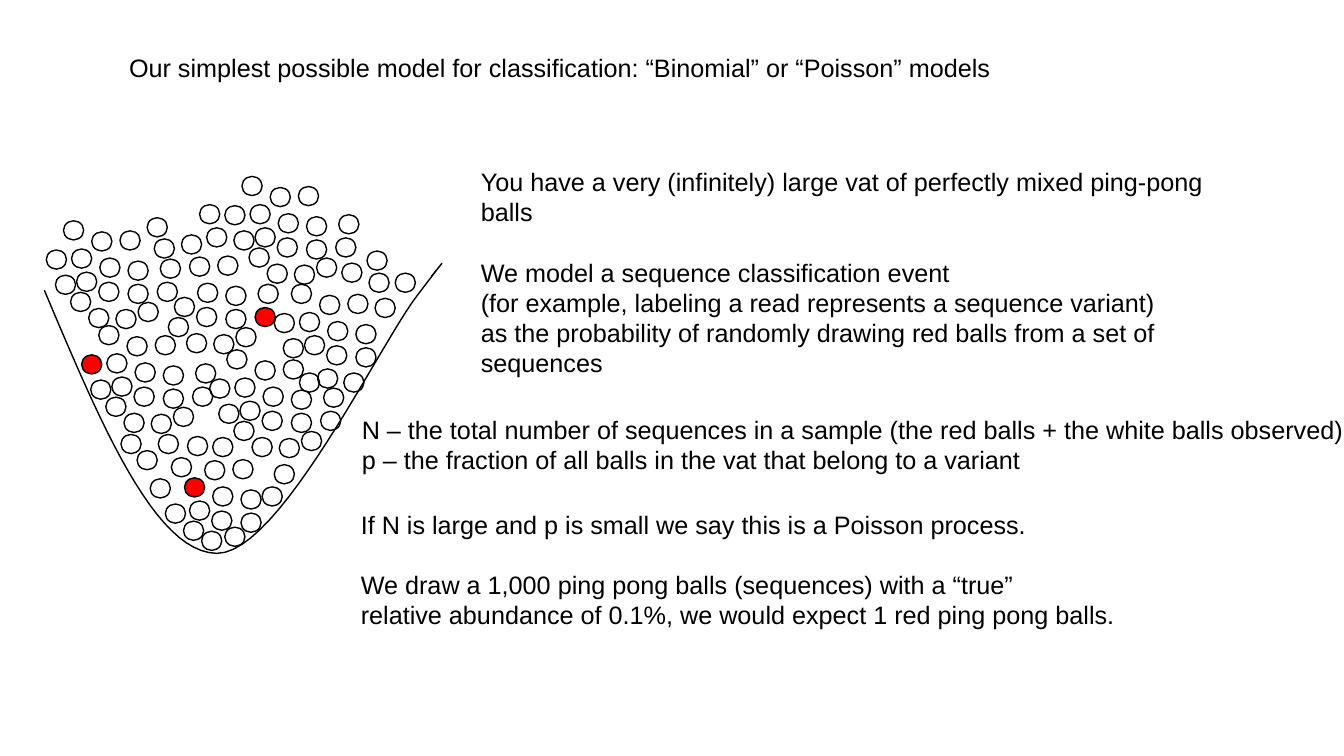
from pptx import Presentation
from pptx.dml.color import RGBColor
from pptx.enum.shapes import MSO_SHAPE
from pptx.enum.text import MSO_ANCHOR, MSO_AUTO_SIZE, PP_ALIGN
from pptx.util import Inches, Pt

FONT = "Arial"
BLACK, RED = "000000", "FF0000"
LINE_PITCH = 21.6

# One handful of balls; the vat is filled by shifting it around.
CLUSTER = [
    (0.55, 2.73), (1.56, 2.80), (1.27, 2.82), (0.98, 2.80), (0.70, 2.90), (0.88, 3.06),
    (1.15, 3.07), (0.76, 2.70), (0.99, 2.56), (1.27, 2.59), (0.71, 2.47), (1.59, 2.57),
    (0.46, 2.48), (0.91, 2.30), (0.63, 2.19), (1.37, 3.00), (1.19, 2.29),
]
# Shift right, shift down, balls left out, the red ball
CLUSTER_SHIFTS = [
    (0, 0, (), None),
    (1.62, 1.28, (), None),
    (0.35, 1.04, (), 12),
    (0.97, 0.25, (0, 10, 12, 14), 1),
    (2.26, 0.63, (1, 4, 5, 11, 15), None),
    (1.77, -0.44, (), None),
    (1.12, 2.27, (0, 1, 5, 6, 11, 12, 14, 15), 10),
]
LOOSE_BALLS = [
    (2.97, 3.70), (3.15, 3.66), (1.64, 5.00), (2.00, 5.27), (2.23, 5.23), (2.72, 4.61),
    (1.49, 4.75), (1.70, 4.54), (2.60, 4.83), (1.36, 4.47), (2.11, 4.34), (1.86, 4.33),
    (1.57, 4.31), (1.20, 4.31), (1.53, 2.37), (2.05, 2.26), (3.39, 2.61), (3.72, 2.96),
    (3.66, 2.71), (3.92, 2.71), (3.64, 2.49), (1.80, 2.33), (1.46, 2.16), (1.98, 2.03),
]
VAT_START = (0.44, 2.88)
VAT_CURVES = [
    ((0.99, 4.18), (1.53, 5.48), (2.15, 5.49)),
    ((2.77, 5.50), (3.78, 3.39), (4.14, 2.93)),
    ((4.49, 2.47), (4.39, 2.61), (4.28, 2.74)),
]


def color(hex_value):
    return RGBColor.from_string(hex_value)


def write_text(shape, paragraphs, wrap=True, gap_before=()):
    """Fill a shape with paragraphs; those in gap_before follow a one-line gap."""
    tf = shape.text_frame
    tf.word_wrap = wrap
    tf.auto_size = MSO_AUTO_SIZE.NONE
    tf.vertical_anchor = MSO_ANCHOR.TOP
    tf.text = "\n".join(paragraphs)
    for i, p in enumerate(tf.paragraphs):
        p.alignment = PP_ALIGN.LEFT
        p.line_spacing = Pt(LINE_PITCH)
        p.space_before = Pt(LINE_PITCH if i in gap_before else 0)
        for r in p.runs:
            r.font.name = FONT
            r.font.size = Pt(18)
            r.font.color.rgb = color(BLACK)


def place(shape, left, top, width, height):
    shape.left, shape.top = Inches(left), Inches(top)
    shape.width, shape.height = Inches(width), Inches(height)


def add_text(s, box, paragraphs, **options):
    write_text(s.shapes.add_textbox(*map(Inches, box)), paragraphs, **options)


def outline(shape):
    shape.shadow.inherit = False
    shape.line.color.rgb = color(BLACK)
    shape.line.width = Pt(1)


def add_ball(group, left, top, red=False):
    ball = group.shapes.add_shape(
        MSO_SHAPE.FLOWCHART_CONNECTOR, Inches(left), Inches(top), Inches(0.2), Inches(0.19))
    outline(ball)
    if red:
        ball.fill.solid()
        ball.fill.fore_color.rgb = color(RED)
    else:
        ball.fill.background()


def bezier_points(start, c1, c2, end, steps=24):
    for i in range(1, steps + 1):
        t = i / steps
        u = 1 - t
        yield tuple(
            Inches(u**3 * a + 3 * u * u * t * b + 3 * u * t * t * c + t**3 * d)
            for a, b, c, d in zip(start, c1, c2, end))


def add_vat(group):
    points, start = [], VAT_START
    for curve in VAT_CURVES:
        points.extend(bezier_points(start, *curve))
        start = curve[-1]
    builder = group.shapes.build_freeform(*map(Inches, VAT_START))
    builder.add_line_segments(points, close=False)
    vat = builder.convert_to_shape()
    vat.fill.background()
    outline(vat)


def add_filled_vat(s):
    group = s.shapes.add_group_shape()
    add_vat(group)
    for right, down, left_out, red in CLUSTER_SHIFTS:
        for i, (x, y) in enumerate(CLUSTER):
            if i not in left_out:
                add_ball(group, x + right, y + down, red=i == red)
    for x, y in LOOSE_BALLS:
        add_ball(group, x, y)


def main():
    prs = Presentation()
    prs.slide_width, prs.slide_height = Inches(13.33), Inches(7.5)
    s = prs.slides.add_slide(prs.slide_layouts[5])

    title = s.shapes.title
    place(title, 1.18, 0.47, 9.19, 0.4)
    write_text(title, [
        "Our simplest possible model for classification: “Binomial” or “Poisson” models"])

    add_filled_vat(s)

    add_text(s, (4.67, 1.6, 7.92, 2.22), [
        "You have a very (infinitely) large vat of perfectly mixed ping-pong balls",
        "We model a sequence classification event",
        "(for example, labeling a read represents a sequence variant)",
        "as the probability of randomly drawing red balls from a set of sequences",
    ], gap_before=(1,))
    add_text(s, (3.49, 4.06, 10.03, 0.71), [
        "N – the total number of sequences in a sample (the red balls + the white balls observed)",
        "p – the fraction of all balls in the vat that belong to a variant",
    ], wrap=False)
    add_text(s, (3.48, 5, 7.89, 1.31), [
        "If N is large and p is small we say this is a Poisson process.",
        "We draw a 1,000 ping pong balls (sequences) with a “true”",
        "relative abundance of 0.1%, we would expect 1 red ping pong balls.",
    ], wrap=False, gap_before=(1,))

    prs.save("out.pptx")


if __name__ == "__main__":
    main()
